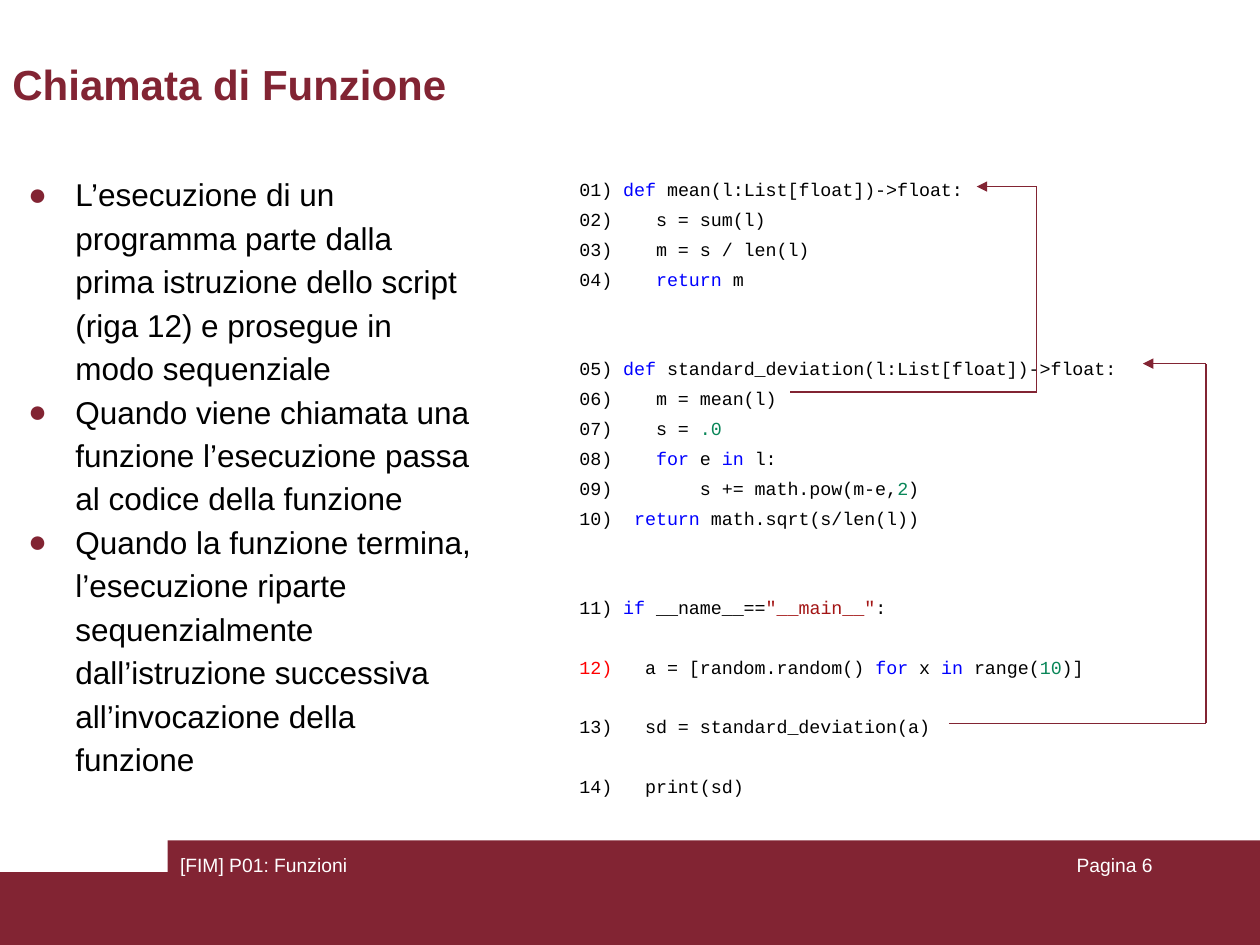
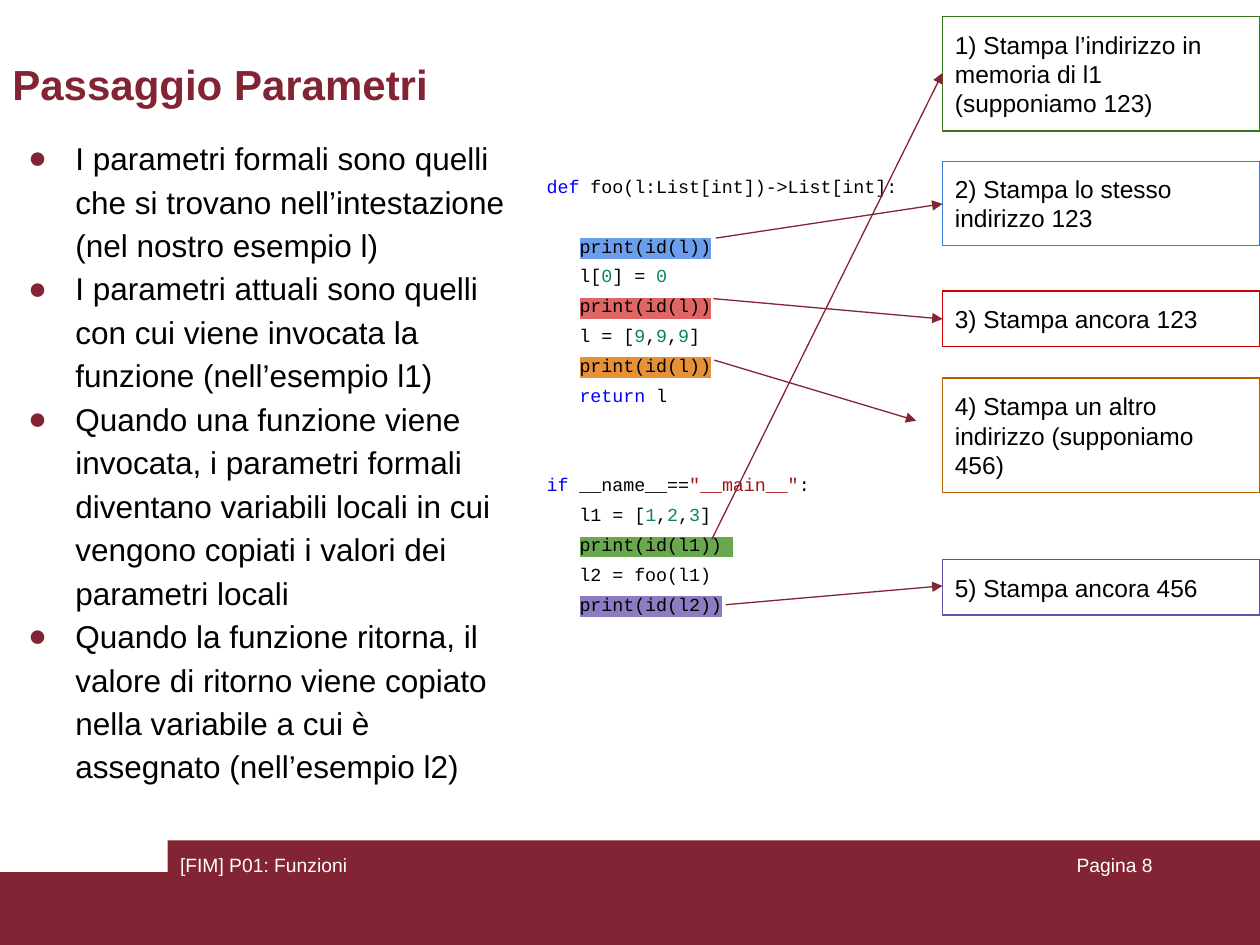
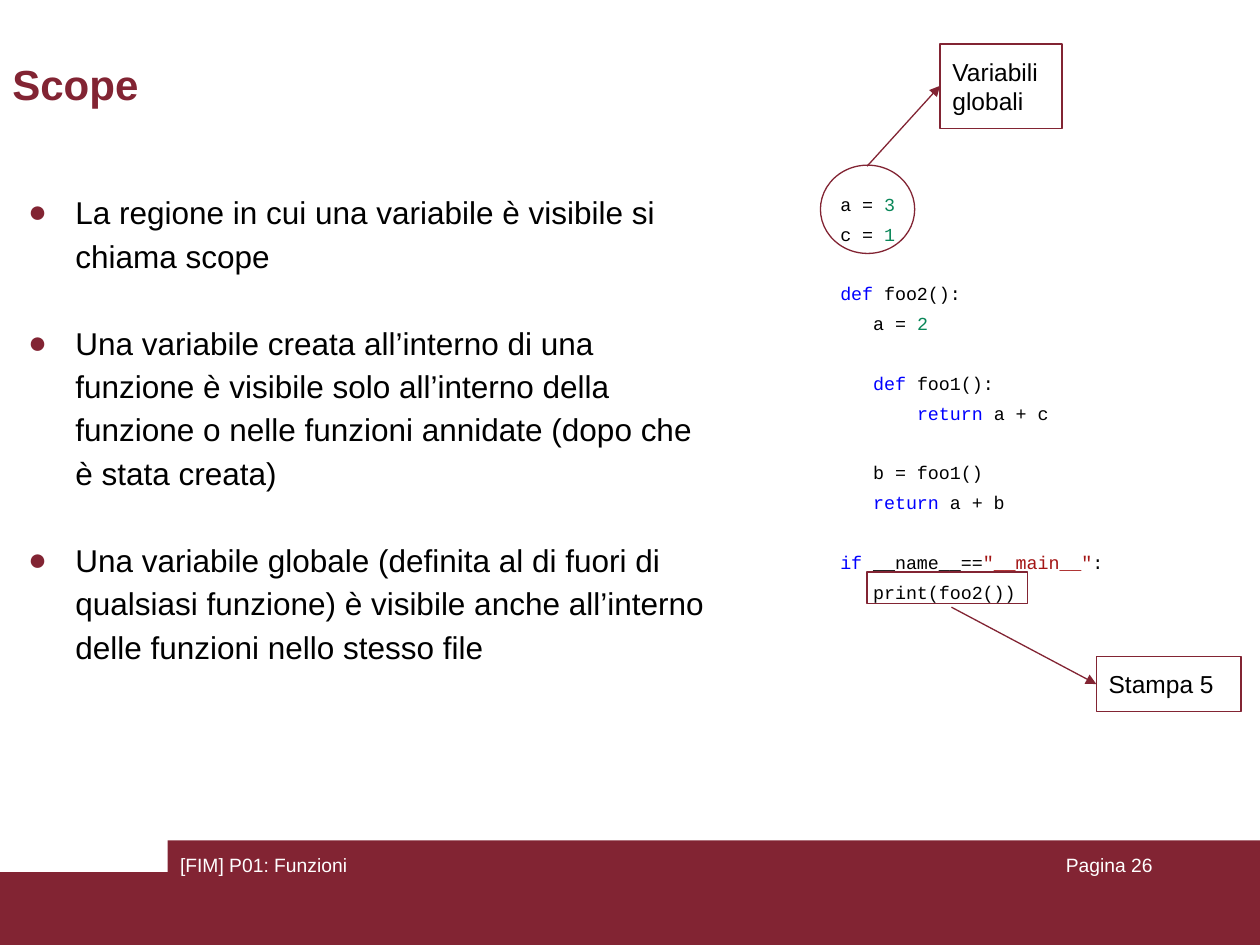
import dataclasses
import itertools

import lxml.etree
import pptx
import pptx.dml.color
import pptx.enum.shapes
import pptx.enum.text
import pptx.oxml
import pptx.oxml.ns
import pptx.util

Cm = pptx.util.Cm
Pt = pptx.util.Pt
Shapes = pptx.enum.shapes.MSO_SHAPE
Align = pptx.enum.text.PP_ALIGN


@dataclasses.dataclass(frozen=True)
class Theme:
    wine: str = "822433"
    white: str = "FFFFFF"
    ink: str = "000000"
    keyword: str = "0000FF"
    number: str = "098658"
    string: str = "A31515"
    current: str = "FF0000"
    sans: str = "Arial"
    mono: str = "Courier New"
    title_size: float = 24
    body_size: float = 18
    note_size: float = 14
    footer_size: float = 11
    code_size: float = 10.5
    body_spacing: float = 1.15
    code_spacing: float = 1.36
    body_blank: float = 24.9
    code_blank: float = 17
    line_width: float = 0.75


KEYWORDS = {"def", "return", "for", "in", "if"}


def rgb(colour):
    return pptx.dml.color.RGBColor.from_string(colour)


def apply(target, values):
    for name, value in values.items():
        setattr(target, name, value)


def add_element(parent, tag, **attributes):
    return lxml.etree.SubElement(parent, pptx.oxml.ns.qn(tag), attributes)


class DeckBuilder:
    def __init__(self, theme):
        self.theme = theme
        self.deck = pptx.Presentation()
        apply(self.deck, {"slide_width": Cm(25.4), "slide_height": Cm(19.05)})
        self.page = None

    def start_page(self, title, number):
        theme = self.theme
        self.page = self.deck.slides.add_slide(self.deck.slide_layouts[5])
        box = self.page.shapes.title
        apply(box, {"left": 0, "top": Cm(1.04), "width": Cm(21.01), "height": Cm(1.4)})
        self.frame(box, 0.13)
        para = box.text_frame.paragraphs[0]
        para.alignment = Align.LEFT
        self.span(para, title, theme.title_size, theme.wine, bold=True)
        for place in ((0, 17.58, 25.4, 1.47), (3.38, 16.94, 22.02, 2.11)):
            self.shape(place, fill=theme.wine)
        self.footer((18.21, 17.07, 5.28, 1.27), f"Pagina {number}", Align.RIGHT)
        self.footer((3.38, 17.07, 8.05, 1.27), "[FIM] P01: Funzioni", Align.LEFT)

    def frame(self, box, vertical, anchor=pptx.enum.text.MSO_ANCHOR.TOP):
        apply(box.text_frame, {
            "word_wrap": True, "auto_size": pptx.enum.text.MSO_AUTO_SIZE.NONE,
            "vertical_anchor": anchor, "margin_left": Cm(0.25), "margin_right": Cm(0.25),
            "margin_top": Cm(vertical), "margin_bottom": Cm(vertical)})
        return box.text_frame

    def text_box(self, place, vertical=0.25):
        return self.frame(self.page.shapes.add_textbox(*map(Cm, place)), vertical)

    def span(self, para, text, size, colour, font=None, bold=False, mark=None):
        span = para.add_run()
        span.text = text
        apply(span.font, {"size": Pt(size), "name": font or self.theme.sans, "bold": bold})
        span.font.color.rgb = rgb(colour)
        if mark:
            properties = span.font._element
            highlight = add_element(properties, "a:highlight")
            add_element(highlight, "a:srgbClr", val=mark)
            properties.find(pptx.oxml.ns.qn("a:solidFill")).addnext(highlight)

    def footer(self, place, text, alignment):
        para = self.text_box(place, 0.13).paragraphs[0]
        para.alignment = alignment
        self.span(para, text, self.theme.footer_size, self.theme.white)

    def bullets(self, place, items, blank_lines=0):
        theme = self.theme
        frame = self.text_box(place)
        for index, item in enumerate(items):
            para = frame.add_paragraph() if index else frame.paragraphs[0]
            gap = theme.body_blank * blank_lines if index else 0
            apply(para, {"line_spacing": theme.body_spacing, "space_before": Pt(gap)})
            properties = para._p.get_or_add_pPr()
            properties.set("marL", str(Cm(1.27)))
            properties.set("indent", str(-Cm(0.95)))
            add_element(add_element(properties, "a:buClr"), "a:srgbClr", val=theme.wine)
            add_element(properties, "a:buFont", typeface=theme.sans)
            add_element(properties, "a:buChar", char="●")
            self.span(para, item, theme.body_size, theme.ink)

    def tokens(self, text):
        theme = self.theme
        for index, part in enumerate(text.split('"')):
            if index % 2:
                yield f'"{part}"', theme.string
                continue
            for _, letters in itertools.groupby(part, lambda c: c.isalnum() or c in "_."):
                word = "".join(letters)
                if word in KEYWORDS:
                    yield word, theme.keyword
                elif word.strip(".").isdigit():
                    yield word, theme.number
                else:
                    yield word, theme.ink

    def code(self, place, source, current=None, marks=()):
        theme = self.theme
        frame = self.text_box(place)
        marks = iter(marks)
        para, blanks = None, 0
        for line in source.strip("\n").split("\n"):
            if not line:
                blanks += 1
                continue
            para = frame.add_paragraph() if para else frame.paragraphs[0]
            apply(para, {"line_spacing": theme.code_spacing,
                         "space_before": Pt(theme.code_blank * blanks)})
            blanks = 0
            body = line[3:] if line[:2].isdigit() else line.lstrip()
            lead = line[:len(line) - len(body)]
            mark = next(marks, None) if body.startswith("print") else None
            if lead:
                colour = theme.current if lead == current else theme.ink
                self.span(para, lead, theme.code_size, colour, theme.mono)
            for colour, group in itertools.groupby(self.tokens(body), lambda token: token[1]):
                text = "".join(word for word, _ in group)
                self.span(para, text, theme.code_size, colour, theme.mono, mark=mark)

    def shape(self, place, kind=Shapes.RECTANGLE, fill=None, outline=None):
        shape = self.page.shapes.add_shape(kind, *map(Cm, place))
        shape.shadow.inherit = False
        if fill:
            shape.fill.solid()
            shape.fill.fore_color.rgb = rgb(fill)
        else:
            shape.fill.background()
        if outline:
            shape.line.color.rgb = rgb(outline)
            shape.line.width = Pt(self.theme.line_width)
        else:
            shape.line.fill.background()
        return shape

    def note(self, place, text, outline):
        box = self.shape(place, outline=outline)
        para = self.frame(box, 0.25, pptx.enum.text.MSO_ANCHOR.MIDDLE).paragraphs[0]
        para.alignment = Align.LEFT
        self.span(para, text, self.theme.note_size, self.theme.ink)

    def arrow(self, *points):
        for start, end in itertools.pairwise(points):
            line = self.page.shapes.add_connector(
                pptx.enum.shapes.MSO_CONNECTOR.STRAIGHT, *map(Cm, start + end))
            line.line.color.rgb = rgb(self.theme.wine)
            line.line.width = Pt(self.theme.line_width)
            add_element(line._element.spPr, "a:effectLst")
        add_element(line.line._get_or_add_ln(), "a:tailEnd", type="triangle")


CALL_CODE = '''
01) def mean(l:List[float])->float:
02)    s = sum(l)
03)    m = s / len(l)
04)    return m


05) def standard_deviation(l:List[float])->float:
06)    m = mean(l)
07)    s = .0
08)    for e in l:
09)        s += math.pow(m-e,2)
10)  return math.sqrt(s/len(l))


11) if __name__=="__main__":

12)   a = [random.random() for x in range(10)]

13)   sd = standard_deviation(a)

14)   print(sd)
'''

PARAMETER_CODE = '''
def foo(l:List[int])->List[int]:

   print(id(l))
   l[0] = 0
   print(id(l))
   l = [9,9,9]
   print(id(l))
   return l


if __name__=="__main__":
   l1 = [1,2,3]
   print(id(l1)) 
   l2 = foo(l1)
   print(id(l2))
'''

SCOPE_CODE = '''
a = 3
c = 1

def foo2():
   a = 2

   def foo1():
       return a + c

   b = foo1()
   return a + b

if __name__=="__main__":
   print(foo2())
'''


def function_call(builder):
    builder.start_page("Chiamata di Funzione", 6)
    builder.code((11.43, 3.18, 12.12, 13.16), CALL_CODE, current="12)")
    builder.arrow((19.13, 14.58), (24.31, 14.58), (24.31, 7.33), (23.04, 7.33))
    builder.arrow((15.93, 7.9), (20.9, 7.9), (20.9, 3.76), (19.69, 3.76))
    builder.bullets((0, 3.17, 9.83, 12.6), [
        "L’esecuzione di un programma parte dalla prima istruzione dello script (riga 12) "
        "e prosegue in modo sequenziale",
        "Quando viene chiamata una funzione l’esecuzione passa al codice della funzione",
        "Quando la funzione termina, l’esecuzione riparte sequenzialmente dall’istruzione "
        "successiva all’invocazione della funzione",
    ])


def parameter_passing(builder):
    builder.start_page("Passaggio Parametri", 8)
    builder.bullets((0, 2.44, 10.49, 13.67), [
        "I parametri formali sono quelli che si trovano nell’intestazione "
        "(nel nostro esempio l)",
        "I parametri attuali sono quelli con cui viene invocata la funzione (nell’esempio l1)",
        "Quando una funzione viene invocata, i parametri formali diventano variabili locali "
        "in cui vengono copiati i valori dei parametri locali",
        "Quando la funzione ritorna, il valore di ritorno viene copiato nella variabile "
        "a cui è assegnato (nell’esempio l2)",
    ])
    builder.code((10.77, 3.12, 7.7, 10.72), PARAMETER_CODE,
                 marks=("6D9EEB", "E06666", "E69138", "6AA84F", "8E7CC3"))
    notes = [
        (0.33, 2.31, "38761D", "1) Stampa l’indirizzo in memoria di l1 (supponiamo 123)"),
        (3.25, 1.7, "3C78D8", "2) Stampa lo stesso indirizzo 123"),
        (5.87, 1.12, "CC0000", "3) Stampa ancora 123"),
        (7.62, 2.31, "B45F06", "4) Stampa un altro indirizzo (supponiamo 456)"),
        (11.28, 1.12, "674EA7", "5) Stampa ancora 456"),
    ]
    for top, height, outline, text in notes:
        builder.note((19, top, 6.4, height), text, outline)
    arrows = [
        ((14.35, 10.87), (19, 1.47)),
        ((14.43, 4.8), (19, 4.11)),
        ((14.38, 6.02), (19, 6.43)),
        ((14.4, 7.26), (18.47, 8.48)),
        ((14.63, 12.19), (19, 11.81)),
    ]
    for start, tip in arrows:
        builder.arrow(start, tip)


def scope(builder):
    wine = builder.theme.wine
    builder.start_page("Scope", 26)
    builder.bullets((0, 3.53, 14.53, 10.13), [
        "La regione in cui una variabile è visibile si chiama scope",
        "Una variabile creata all’interno di una funzione è visibile solo all’interno della "
        "funzione o nelle funzioni annidate (dopo che è stata creata)",
        "Una variabile globale (definita al di fuori di qualsiasi funzione) è visibile anche "
        "all’interno delle funzioni nello stesso file",
    ], blank_lines=1)
    builder.code((16.69, 3.48, 8.33, 10.72), SCOPE_CODE)
    builder.shape((16.54, 3.33, 1.9, 1.78), Shapes.OVAL, outline=wine)
    builder.note((18.95, 0.89, 2.46, 1.7), "Variabili globali", wine)
    builder.arrow((17.48, 3.35), (18.95, 1.73))
    builder.shape((17.48, 11.53, 3.23, 0.64), outline=wine)
    builder.note((22.1, 13.23, 2.92, 1.12), "Stampa 5", wine)
    builder.arrow((19.18, 12.24), (22.1, 13.79))


def main():
    builder = DeckBuilder(Theme())
    for build_page in (function_call, parameter_passing, scope):
        build_page(builder)
    builder.deck.save("out.pptx")


if __name__ == "__main__":
    main()
